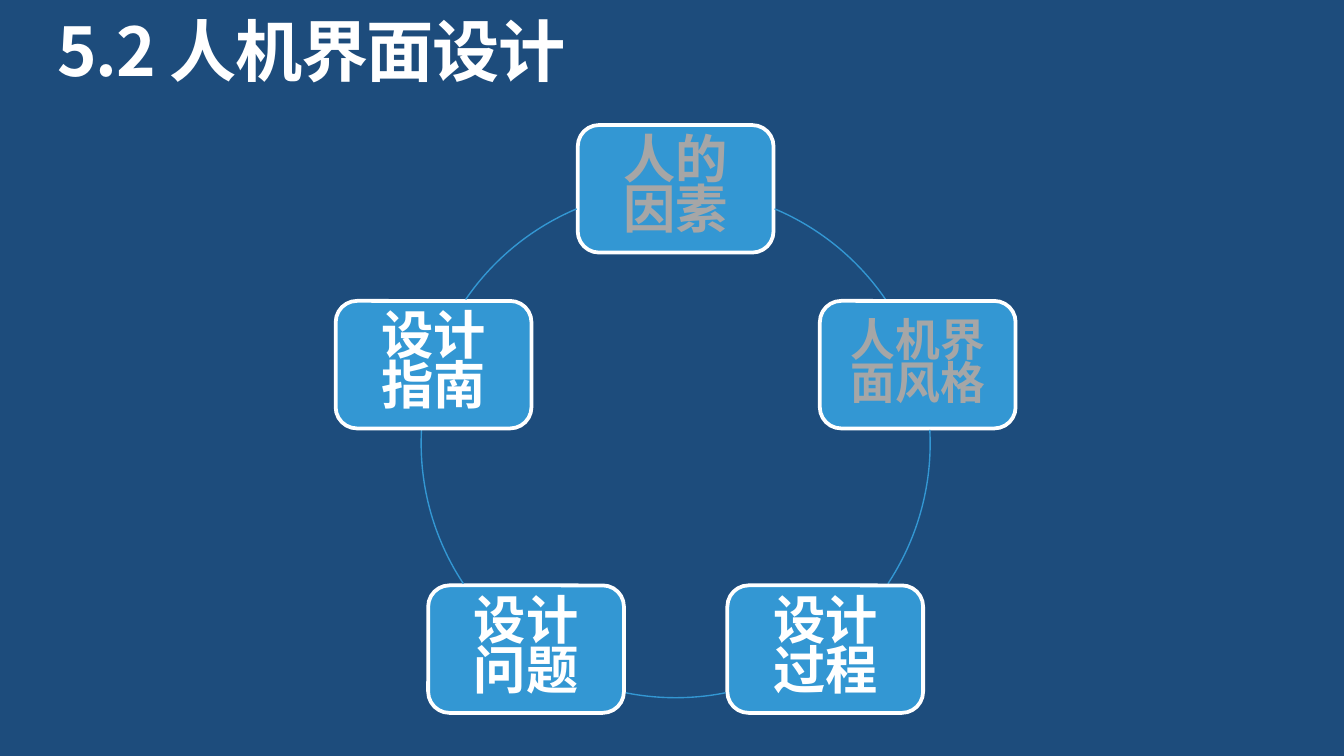
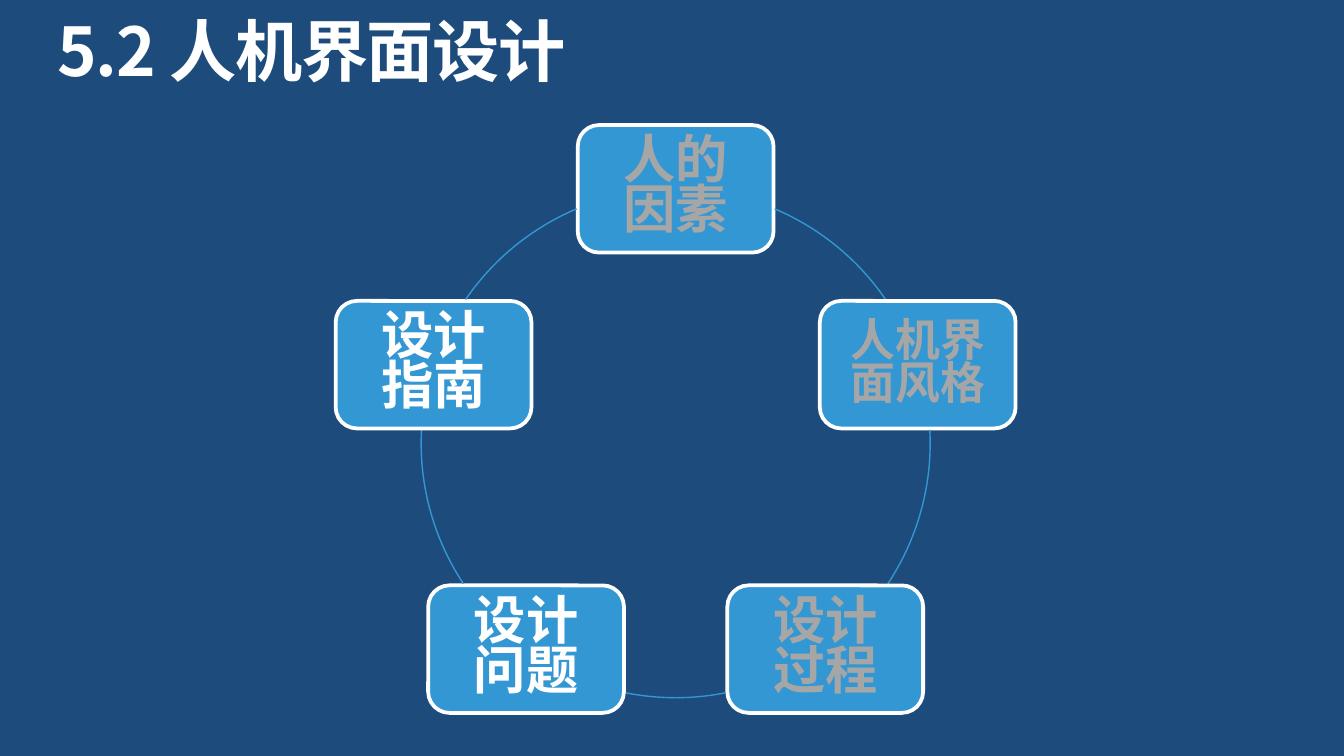
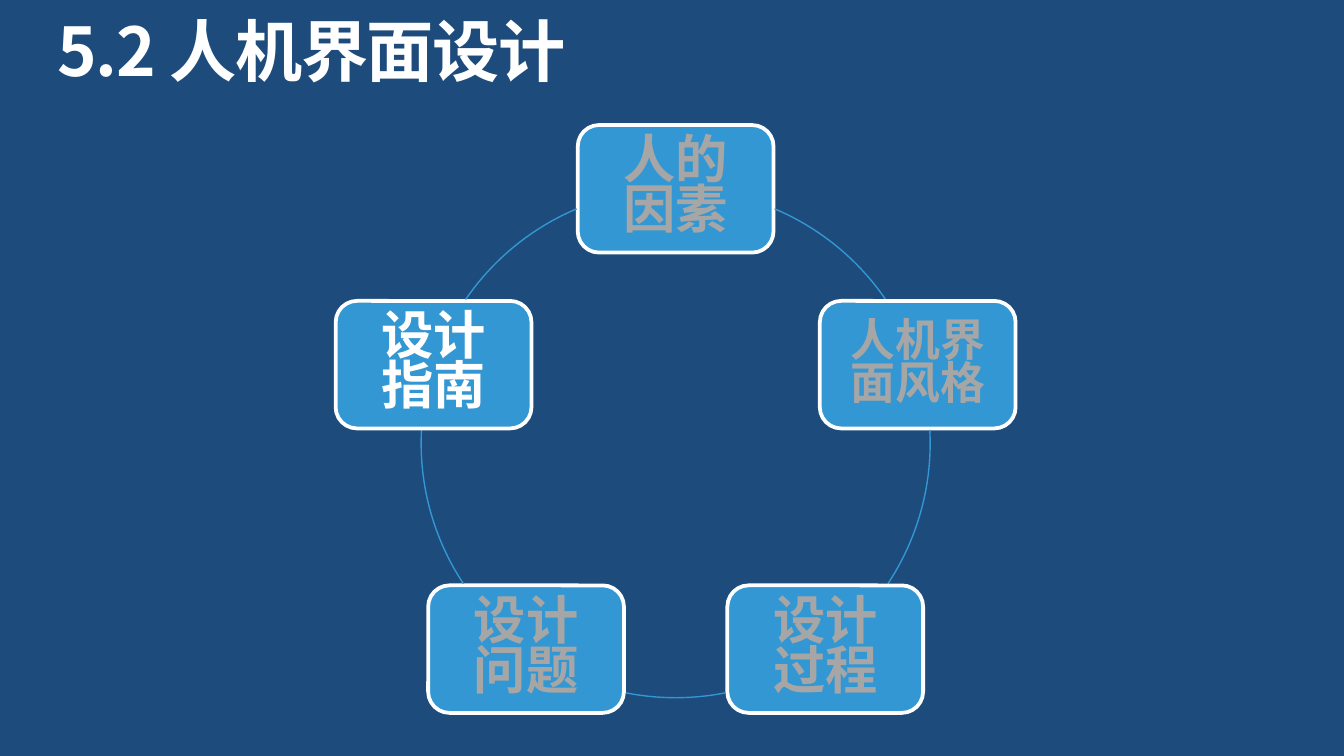
from math import cos, radians, sin

from lxml.etree import SubElement
from pptx import Presentation
from pptx.dml.color import RGBColor
from pptx.enum.shapes import MSO_SHAPE as Shape
from pptx.enum.text import MSO_ANCHOR as Anchor, PP_ALIGN as Align
from pptx.oxml.ns import qn
from pptx.util import Cm, Pt

COLORS = {"navy": "1D4C7C", "blue": "3397D3", "white": "FFFFFF", "grey": "A6A6A6"}
FONT = "Noto Sans CJK SC"
TITLE = "5.2 人机界面设计"
CENTER_X, CENTER_Y, RADIUS = 12.77, 8.38, 4.81
BOX_WIDTH, BOX_HEIGHT = 3.7, 2.41
TOPICS = [("人的因素", 28), ("人机界面风格", 24), ("设计过程", 28), ("设计问题", 28), ("设计指南", 28)]
ARC_BEARINGS = [(22.9, 55.6), (87, 123.5), (168.7, 191.3), (236.5, 273), (304.4, 337.1)]
COVERED_COUNTS = [2, 3, 4]


def color(name):
    """Return the named palette colour."""
    return RGBColor.from_string(COLORS[name])


def write_text(frame, text, size, color_name, inset=0.0):
    """Fill a text frame with one bold paragraph and return the paragraph."""
    frame.word_wrap = True
    frame.margin_left = frame.margin_right = Cm(inset)
    frame.margin_top = frame.margin_bottom = Cm(inset)
    frame.text = text
    para = frame.paragraphs[0]
    para.line_spacing = 0.8
    for span in para.runs:
        span.font.name = FONT
        span.font.size = Pt(size)
        span.font.bold = True
        span.font.color.rgb = color(color_name)
        SubElement(span.font._element, qn("a:ea"), typeface=FONT)
    return para


def add_title(page):
    """Add the section title."""
    box = page.shapes.add_textbox(Cm(1.09), Cm(0.48), Cm(23.24), Cm(1.4))
    para = write_text(box.text_frame, TITLE, 36, "white")
    para.runs[0].font._element.set("spc", "-80")


def add_topic(page, bearing, text, size, color_name):
    """Add a rounded topic box centred on the ring at a clockwise bearing."""
    angle = radians(bearing)
    left = CENTER_X + RADIUS * sin(angle) - BOX_WIDTH / 2
    top = CENTER_Y - RADIUS * cos(angle) - BOX_HEIGHT / 2
    box = page.shapes.add_shape(
        Shape.ROUNDED_RECTANGLE, Cm(left), Cm(top), Cm(BOX_WIDTH), Cm(BOX_HEIGHT))
    box.shadow.inherit = False
    box.fill.solid()
    box.fill.fore_color.rgb = color("blue")
    box.line.color.rgb = color("white")
    box.line.width = Pt(2)
    box.text_frame.vertical_anchor = Anchor.MIDDLE
    inset = 0.3 if size == 28 else 0.25
    write_text(box.text_frame, text, size, color_name, inset).alignment = Align.CENTER


def add_ring_arc(page, start, end):
    """Add the part of the ring between two clockwise bearings."""
    arc = page.shapes.add_shape(
        Shape.ARC, Cm(CENTER_X - RADIUS), Cm(CENTER_Y - RADIUS), Cm(2 * RADIUS), Cm(2 * RADIUS))
    arc.shadow.inherit = False
    arc.fill.background()
    arc.line.color.rgb = color("blue")
    arc.line.width = Pt(0.75)
    for index, bearing in enumerate((start, end)):
        arc.adjustments[index] = (bearing - 90) % 360 * 0.6


def add_cycle_page(deck, covered):
    """Add a page whose first covered topics are greyed."""
    page = deck.slides.add_slide(deck.slide_layouts[6])
    page.background.fill.solid()
    page.background.fill.fore_color.rgb = color("navy")
    add_title(page)
    for index, ((text, size), bearings) in enumerate(zip(TOPICS, ARC_BEARINGS)):
        color_name = "grey" if index < covered else "white"
        add_topic(page, index * 360 / len(TOPICS), text, size, color_name)
        add_ring_arc(page, *bearings)


def main():
    """Build and save the deck."""
    deck = Presentation()
    deck.slide_width, deck.slide_height = Cm(25.4), Cm(14.29)
    for covered in COVERED_COUNTS:
        add_cycle_page(deck, covered)
    deck.save("out.pptx")


if __name__ == "__main__":
    main()
